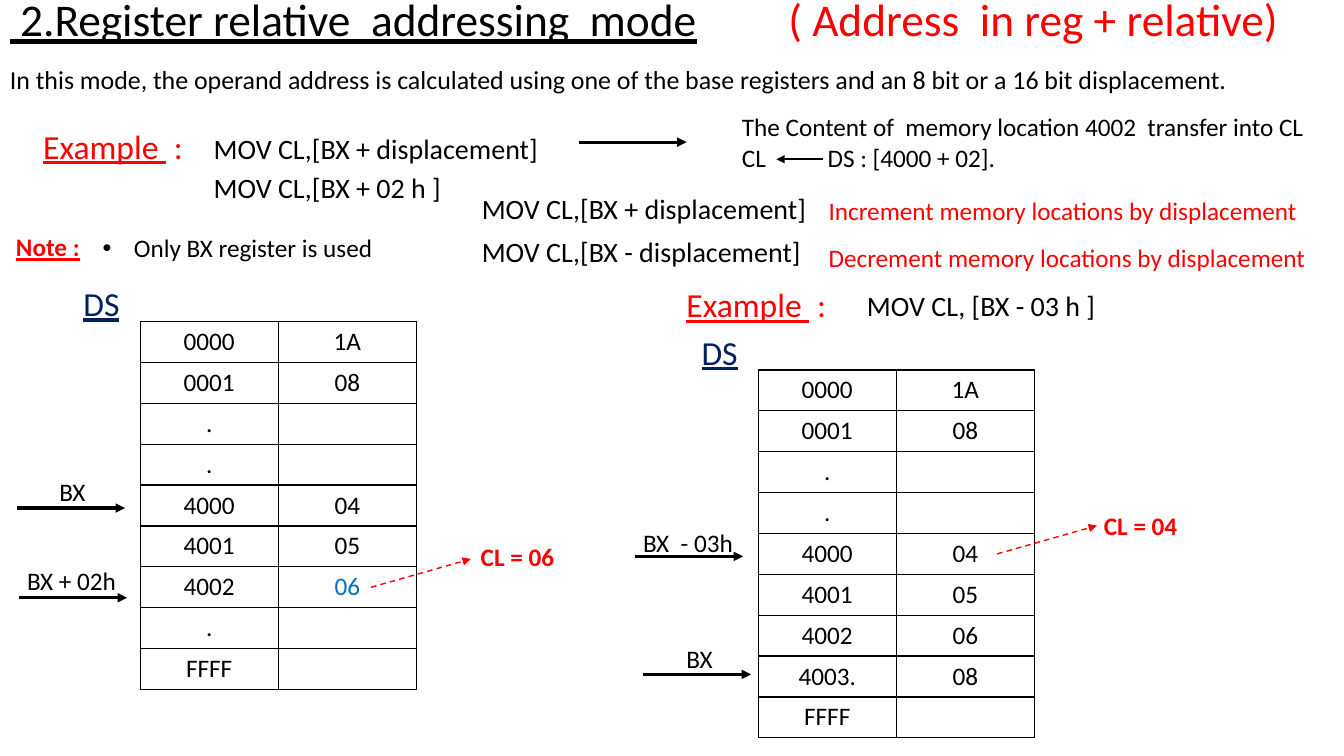
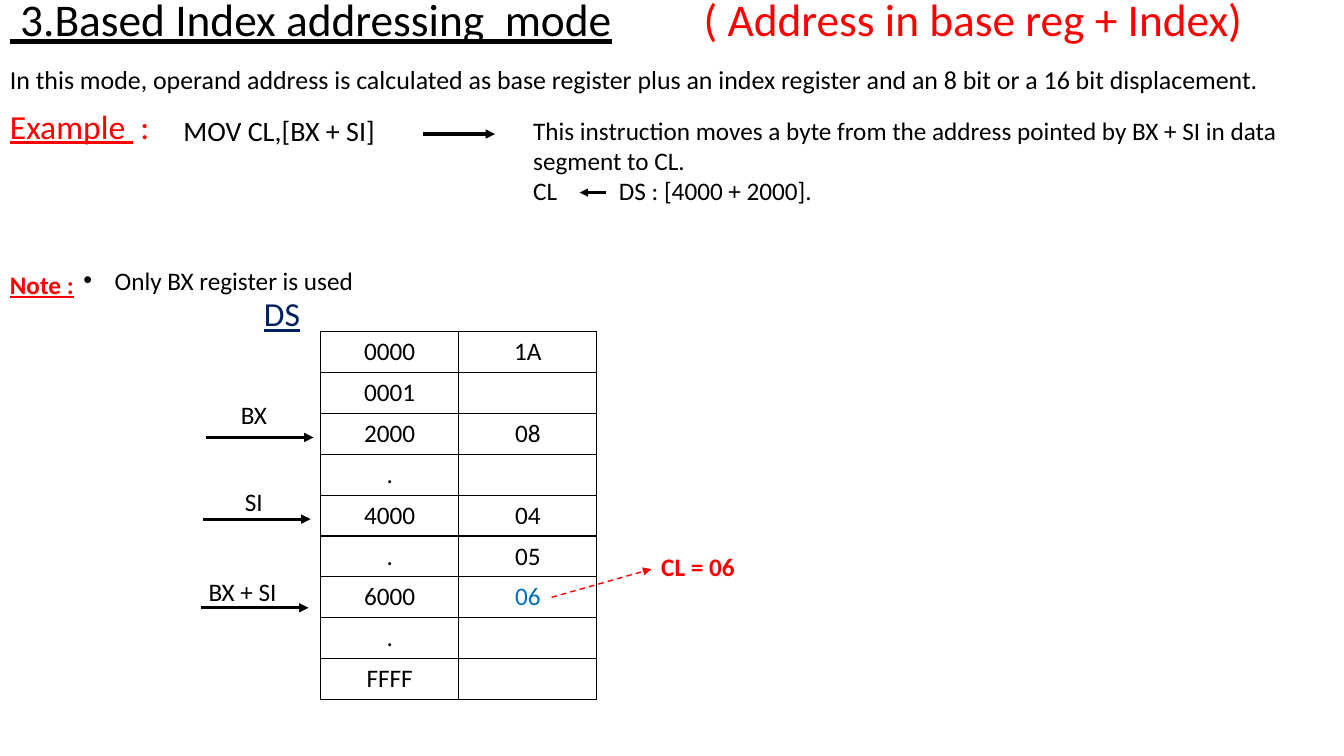
from lxml import etree
from pptx import Presentation
from pptx import util as u
from pptx.dml.color import RGBColor
from pptx.enum import dml, shapes, text
from pptx.oxml import ns

BLACK = RGBColor(0x00, 0x00, 0x00)
RED = RGBColor(0xFF, 0x00, 0x00)
NAVY = RGBColor(0x00, 0x20, 0x60)
BLUE = RGBColor(0x00, 0x70, 0xC0)
FONT = "Calibri"
SLIDE_WIDTH, SLIDE_HEIGHT = 13.33, 7.5
TABLE_WIDTH, TABLE_HEIGHT = 2.74, 3.65
POINTER_LENGTH = 1.07


def add_element(parent, tag, **attributes):
    """Append a DrawingML element and return it."""
    element = etree.SubElement(parent, ns.qn(tag))
    for name, value in attributes.items():
        element.set(name, str(value))
    return element


def add_run(paragraph, content, size=18, color=BLACK, bold=False, underline=False):
    """Append a formatted run to a paragraph."""
    run = paragraph.add_run()
    run.text = content
    run.font.name = FONT
    run.font.size = u.Pt(size)
    run.font.color.rgb = color
    run.font.bold = bold
    run.font.underline = underline


def add_text(slide, content, left, top, width, height=0.4, spacing=None,
             tabs=(), bullet=False, **run_format):
    """Add a text box with one paragraph per line and return its last paragraph."""
    box = slide.shapes.add_textbox(*map(u.Inches, (left, top, width, height)))
    frame = box.text_frame
    frame.word_wrap = True
    for index, line in enumerate(content.split("\n")):
        paragraph = frame.add_paragraph() if index else frame.paragraphs[0]
        properties = paragraph._p.get_or_add_pPr()
        if bullet:
            properties.set("marL", str(u.Inches(0.31)))
            properties.set("indent", str(-u.Inches(0.31)))
            add_element(properties, "a:buFont", typeface="Arial")
            add_element(properties, "a:buChar", char="•")
        if tabs:
            stops = add_element(properties, "a:tabLst")
            for stop in tabs:
                add_element(stops, "a:tab", pos=u.Inches(stop), algn="l")
        if spacing:
            paragraph.line_spacing = spacing
        add_run(paragraph, line, **run_format)
    return paragraph


def add_arrow(slide, start, end, width=2.25, color=BLACK, dashed=False):
    """Draw a straight arrow between two points."""
    arrow = slide.shapes.add_connector(
        shapes.MSO_CONNECTOR.STRAIGHT, *map(u.Inches, (*start, *end)))
    arrow.line.color.rgb = color
    arrow.line.width = u.Pt(width)
    if dashed:
        arrow.line.dash_style = dml.MSO_LINE.DASH
    add_element(arrow.line._get_or_add_ln(), "a:tailEnd", type="triangle")
    add_element(arrow._element.spPr, "a:effectLst")


def add_heading(slide, title, underline_end, remark, summary):
    """Add the underlined title, its red remark and the summary line."""
    paragraph = add_text(slide, title + "\t", 0, 0, SLIDE_WIDTH, 0.44, spacing=0.9,
                         tabs=(underline_end, underline_end + 0.71),
                         size=32.4, underline=True)
    add_run(paragraph, "\t", size=32.4)
    add_run(paragraph, remark, size=32.4, color=RED)
    frame = slide.shapes[-1].text_frame
    frame.margin_top = frame.margin_bottom = 0
    frame.vertical_anchor = text.MSO_ANCHOR.MIDDLE
    add_text(slide, summary, 0, 0.62, SLIDE_WIDTH, 0.58, spacing=0.9, size=18.5)


def add_example(slide, left, top):
    """Add the red example label."""
    paragraph = add_text(slide, "Example ", left, top, 2.33, 0.5,
                         size=24, color=RED, underline=True)
    add_run(paragraph, " :", size=24, color=RED)


def add_code(slide, content, left, top):
    """Add one assembly instruction."""
    add_text(slide, content, left, top, 3.48, 0.52, spacing=0.9, size=20)


def add_note(slide, left, top, bullet_left, bullet_top):
    """Add the note label and its bullet."""
    add_text(slide, "Note :", left, top, 0.86, color=RED, bold=True, underline=True)
    add_text(slide, "Only BX register is used", bullet_left, bullet_top, 3.13, bullet=True)


def add_meaning(slide, content, left, top, width, height, arrow_span):
    """Explain an instruction, with an arrow in the last line."""
    add_text(slide, content, left, top, width, height, tabs=(0.85,))
    arrow_top = top + height - 0.19
    tail, head = arrow_span
    add_arrow(slide, (left + tail, arrow_top), (left + head, arrow_top), width=1.5)


def format_cell(cell, content, color):
    """Write one memory cell with black borders and no fill."""
    cell.fill.background()
    cell.vertical_anchor = text.MSO_ANCHOR.TOP
    paragraph = cell.text_frame.paragraphs[0]
    paragraph.alignment = text.PP_ALIGN.CENTER
    paragraph.font.size = u.Pt(18)
    if content:
        add_run(paragraph, content, color=color)
    properties = cell._tc.get_or_add_tcPr()
    for index, side in enumerate(("a:lnL", "a:lnR", "a:lnT", "a:lnB")):
        border = etree.Element(ns.qn(side), w=str(u.Pt(1)))
        fill = add_element(border, "a:solidFill")
        add_element(fill, "a:srgbClr", val=BLACK)
        properties.insert(index, border)


def add_memory(slide, left, top, cells, pointers, result, highlight=None):
    """Add a data segment table with its pointers and the value read from it."""
    add_text(slide, "DS", left - 0.66, top - 0.43, 1.03, 0.5,
             size=24, color=NAVY, underline=True)
    frame = slide.shapes.add_table(
        len(cells), 2, *map(u.Inches, (left, top, TABLE_WIDTH, TABLE_HEIGHT)))
    table = frame.table
    table.first_row = table.horz_banding = False
    for row, values in enumerate(cells):
        for column, value in enumerate(values):
            color = BLUE if (row, column) == highlight else BLACK
            format_cell(table.cell(row, column), value, color)
    for label, label_x, label_y, arrow_x, arrow_y in pointers:
        add_text(slide, label, left + label_x, top + label_y, 1.2)
        start = left + arrow_x, top + arrow_y
        add_arrow(slide, start, (start[0] + POINTER_LENGTH, start[1]))
    label, row, arrow_x, label_x, label_y = result
    start = left + arrow_x, top + (row + 0.5) * TABLE_HEIGHT / len(cells)
    add_arrow(slide, start, (start[0] + 0.99, start[1] - 0.28),
              width=1, color=RED, dashed=True)
    add_text(slide, label, left + label_x, top + label_y, 1.07, color=RED, bold=True)


def build_register_relative(slide):
    """Build the register relative addressing slide."""
    add_heading(slide, " 2.Register relative  addressing  mode", 7.01,
                "( Address  in reg + relative)",
                "In this mode, the operand address is calculated using one of the "
                "base registers and an 8 bit or a 16 bit displacement.")
    add_example(slide, 0.33, 1.2)
    add_example(slide, 6.71, 2.77)
    for content, left, top in (
            ("MOV CL,[BX + displacement]", 2.02, 1.29),
            ("MOV CL,[BX + 02 h ]", 2.02, 1.68),
            ("MOV CL,[BX + displacement]", 4.68, 1.89),
            ("MOV CL,[BX - displacement]", 4.68, 2.31),
            ("MOV CL, [BX - 03 h ]", 8.5, 2.85)):
        add_code(slide, content, left, top)
    add_arrow(slide, (5.74, 1.41), (6.81, 1.41))
    add_meaning(slide, "The Content of  memory location 4002  transfer into CL\n"
                "CL\tDS : [4000 + 02].", 7.26, 1.06, 6.07, 0.71, (0.9, 0.44))
    for verb, top in (("Increment", 1.89), ("Decrement", 2.35)):
        add_text(slide, f"{verb} memory locations by displacement",
                 8.12, top, 5.2, color=RED)
    add_note(slide, 0.06, 2.25, 0.92, 2.26)
    beginning = [("0000", "1A"), ("0001", "08"), (".", ""), (".", ""),
                 ("4000", "04"), ("4001", "05"), ("4002", "06")]
    add_memory(slide, 1.39, 3.19, beginning + [(".", ""), ("FFFF", "")],
               [("BX", -0.9, 1.49, -1.22, 1.85),
                ("BX + 02h", -1.22, 2.37, -1.2, 2.74)],
               ("CL = 06", 6, 2.29, 3.28, 2.13), highlight=(6, 1))
    add_memory(slide, 7.52, 3.67, beginning + [("4003.", "08"), ("FFFF", "")],
               [("BX  - 03h", -1.24, 1.51, -1.22, 1.85),
                ("BX", -0.81, 2.66, -1.14, 3.02)],
               ("CL = 04", 4, 2.37, 3.33, 1.34))


def build_based_index(slide):
    """Build the based index addressing slide."""
    add_heading(slide, " 3.Based Index addressing  mode", 6.17,
                "( Address in base reg + Index)",
                "In this mode, operand address is calculated as base register plus "
                "an index register and an 8 bit or a 16 bit displacement.")
    add_example(slide, 0, 1)
    add_code(slide, "MOV CL,[BX + SI]", 1.72, 1.11)
    add_arrow(slide, (4.2, 1.33), (4.91, 1.33))
    add_meaning(slide, "This instruction moves a byte from the address pointed by "
                "BX + SI in data segment to CL.\nCL\tDS : [4000 + 2000].",
                5.19, 1.09, 8.07, 1.01, (0.82, 0.56))
    add_note(slide, 0, 2.62, 0.73, 2.58)
    cells = [("0000", "1A"), ("0001", ""), ("2000", "08"), (".", ""), ("4000", "04"),
             (".", "05"), ("6000", "06"), (".", ""), ("FFFF", "")]
    add_memory(slide, 3.18, 3.29, cells,
               [("BX", -0.89, 0.62, -1.14, 1.05),
                ("SI", -0.85, 1.49, -1.17, 1.86),
                ("BX + SI", -1.21, 2.38, -1.19, 2.74)],
               ("CL = 06", 6, 2.29, 3.28, 2.13), highlight=(6, 1))


def main():
    """Build and save the presentation."""
    presentation = Presentation()
    presentation.slide_width = u.Inches(SLIDE_WIDTH)
    presentation.slide_height = u.Inches(SLIDE_HEIGHT)
    for build in (build_register_relative, build_based_index):
        build(presentation.slides.add_slide(presentation.slide_layouts[6]))
    presentation.save("out.pptx")


if __name__ == "__main__":
    main()
